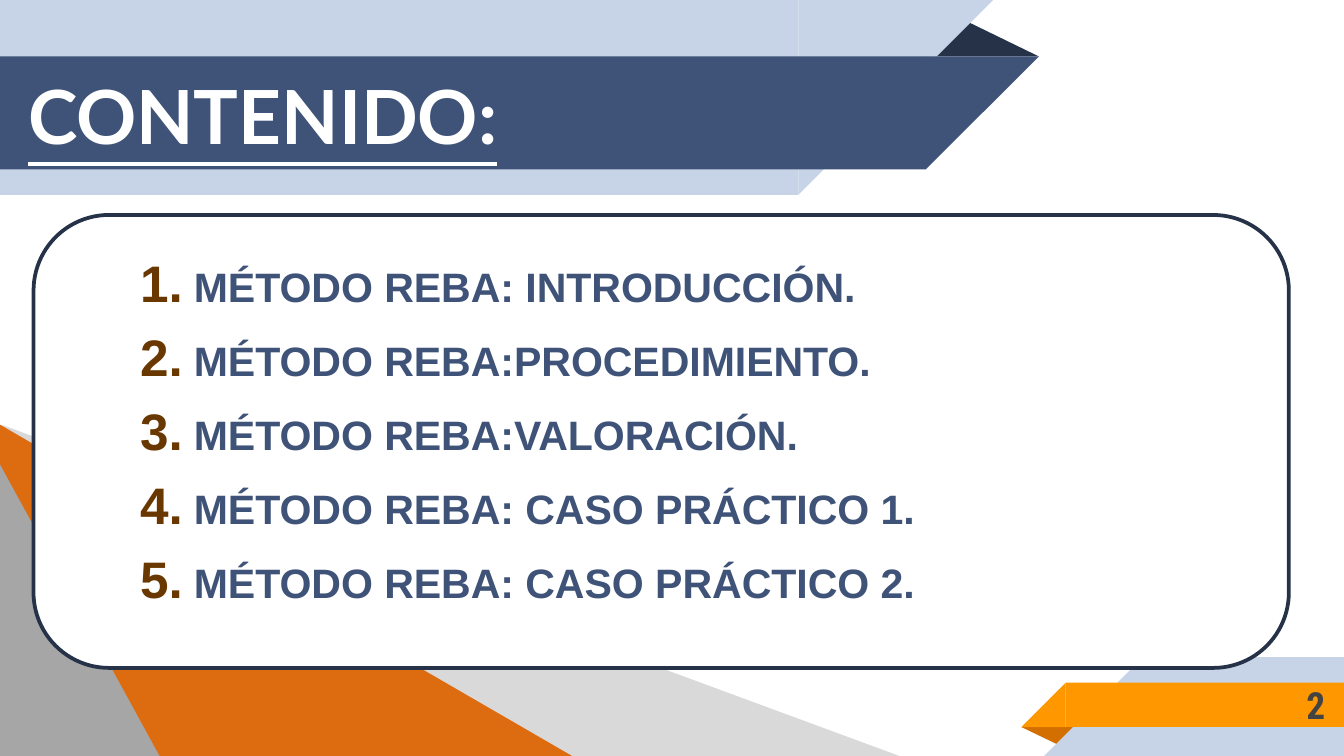
from lxml.etree import SubElement
from pptx import Presentation
from pptx.dml.color import RGBColor
from pptx.enum.shapes import MSO_SHAPE
from pptx.enum.text import MSO_ANCHOR, PP_ALIGN
from pptx.oxml.ns import qn
from pptx.util import Inches, Pt

COLORS = {
    "navy": "3F5378", "dark": "263248", "pale": "C7D3E6", "white": "FFFFFF",
    "orange": "FF9800", "fold": "D26F00", "rust": "DD6C10", "brown": "693800",
    "silver": "D9D9D9", "gray": "A6A6A6", "text": "434343",
}
WIDTH = 10
HEIGHT = WIDTH * 9 / 16
TOPICS = [
    "MÉTODO REBA: INTRODUCCIÓN.",
    "MÉTODO REBA:PROCEDIMIENTO.",
    "MÉTODO REBA:VALORACIÓN.",
    "MÉTODO REBA: CASO PRÁCTICO 1.",
    "MÉTODO REBA: CASO PRÁCTICO 2.",
]


def rgb(name):
    return RGBColor.from_string(COLORS[name])


def add_block(slide, kind, x, y, w, h, color, flip=None, apex=None):
    """Add a flat shape; flip is "flipH" or "flipV", apex a triangle's peak."""
    s = slide.shapes.add_shape(kind, Inches(x), Inches(y), Inches(w), Inches(h))
    s.shadow.inherit = False
    s.fill.solid()
    s.fill.fore_color.rgb = rgb(color)
    s.line.fill.background()
    if flip:
        s._element.spPr.find(qn("a:xfrm")).set(flip, "1")
    if apex is not None:
        s.adjustments[0] = apex
    return s


def add_run(p, text, size, font, color):
    r = p.add_run()
    r.text = text
    r.font.size, r.font.name, r.font.bold = Pt(size), font, True
    r.font.color.rgb = rgb(color)
    return r


def add_label(slide, x, y, w, h, text, size, font, color, align, anchor):
    tf = slide.shapes.add_textbox(Inches(x), Inches(y), Inches(w), Inches(h)).text_frame
    tf.word_wrap = True
    tf.vertical_anchor = anchor
    tf.margin_left = tf.margin_right = tf.margin_top = tf.margin_bottom = Inches(0.1)
    p = tf.paragraphs[0]
    p.alignment = align
    return add_run(p, text, size, font, color)


def add_ribbon_right(slide, x, y, w, h, color):
    """Ribbon with a 45 degree cut at its right end."""
    add_block(slide, MSO_SHAPE.RECTANGLE, x, y, w - h, h, color)
    add_block(slide, MSO_SHAPE.RIGHT_TRIANGLE, x + w - h, y, h, h, color, "flipV")


def add_ribbon_left(slide, x, y, w, h, color):
    """Ribbon with a 45 degree cut at its left end."""
    add_block(slide, MSO_SHAPE.RECTANGLE, x + h, y, w - h, h, color)
    add_block(slide, MSO_SHAPE.RIGHT_TRIANGLE, x, y, h, h, color, "flipH")


def add_header_ribbons(slide, x, y, w):
    add_block(slide, MSO_SHAPE.ISOSCELES_TRIANGLE, x + w - 0.85, y + 0.14,
              0.85, 0.28, "dark", apex=0.324)
    add_ribbon_right(slide, x, y, w - 0.34, 1.45, "pale")
    add_ribbon_right(slide, x, y + 0.42, w, 0.84, "navy")


def add_footer_ribbons(slide, x, y, w, h):
    add_block(slide, MSO_SHAPE.ISOSCELES_TRIANGLE, x, y + 0.52,
              0.43, 0.14, "fold", apex=0.324).rotation = 180
    add_ribbon_left(slide, x + 0.17, y, w - 0.17, h, "pale")
    add_ribbon_left(slide, x, y + 0.19, w, 0.33, "orange")


def add_corner(slide, x, bottom):
    """Overlapping slopes; the gray one is added later, above the title."""
    h = 2.49
    add_block(slide, MSO_SHAPE.ISOSCELES_TRIANGLE, x + 0.01, bottom - h, 6.75, h,
              "silver", apex=0)
    add_block(slide, MSO_SHAPE.RIGHT_TRIANGLE, x, bottom - h, 4.3, h, "rust")


def add_topics(slide, x, y, w, h):
    s = add_block(slide, MSO_SHAPE.ROUNDED_RECTANGLE, x, y, w, h, "white")
    s.line.color.rgb = rgb("dark")
    s.line.width = Pt(2)
    tf = s.text_frame
    tf.word_wrap = True
    tf.vertical_anchor = MSO_ANCHOR.TOP
    tf.margin_left = tf.margin_right = Inches(0.1)
    tf.margin_top = tf.margin_bottom = 0
    for i, topic in enumerate(TOPICS):
        p = tf.add_paragraph() if i else tf.paragraphs[0]
        p.alignment = PP_ALIGN.LEFT
        p.line_spacing = 1.5
        add_run(p, topic, 22, "Arial", "navy")
        add_number(p)


def add_number(p):
    pPr = p._p.get_or_add_pPr()
    pPr.set("marL", str(Inches(0.93)))
    pPr.set("indent", str(Inches(-0.4)))
    color = SubElement(pPr, qn("a:buClr"))
    SubElement(color, qn("a:srgbClr"), val=COLORS["brown"])
    SubElement(pPr, qn("a:buSzPct"), val="125000")
    SubElement(pPr, qn("a:buFont"), typeface="+mj-lt")
    SubElement(pPr, qn("a:buAutoNum"), type="arabicPeriod")


def main():
    prs = Presentation()
    prs.slide_width, prs.slide_height = Inches(WIDTH), Inches(HEIGHT)
    slide = prs.slides.add_slide(prs.slide_layouts[6])
    add_header_ribbons(slide, 0, 0, 7.73)
    add_footer_ribbons(slide, 7.6, 4.89, WIDTH - 7.6, HEIGHT - 4.89)
    add_corner(slide, 0, 5.65)
    add_label(slide, 8.33, 5.07, 1.63, 0.35, "2", 20, "Roboto Condensed", "text",
              PP_ALIGN.RIGHT, MSO_ANCHOR.MIDDLE)
    title = add_label(slide, -1.57, 0.12, 7.05, 1.17, "CONTENIDO:", 40, "Lato", "white",
                      PP_ALIGN.CENTER, MSO_ANCHOR.BOTTOM)
    title.font.underline = True
    add_block(slide, MSO_SHAPE.ISOSCELES_TRIANGLE, -0.02, 3.42, 1.22, 2.23, "gray", apex=0)
    add_topics(slide, 0.25, 1.6, 9.34, 3.37)
    prs.save("out.pptx")


if __name__ == "__main__":
    main()
